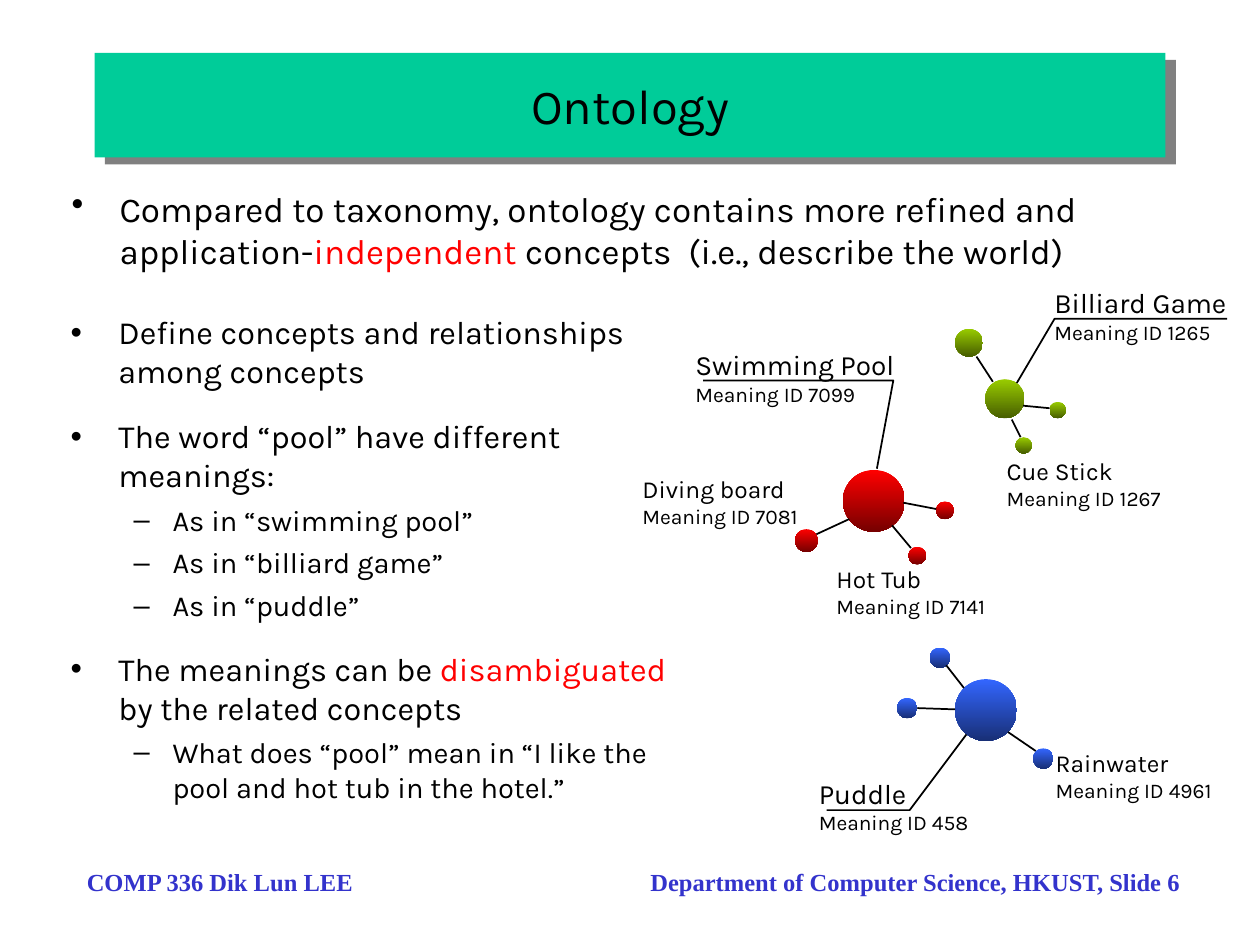
from dataclasses import dataclass
from typing import Any

from lxml.etree import SubElement as Sub
from pptx import Presentation
from pptx.dml.color import RGBColor as Color
from pptx.enum.shapes import MSO_CONNECTOR as Link, MSO_SHAPE as Form
from pptx.enum.text import MSO_ANCHOR as Anchor, MSO_AUTO_SIZE as Fit, PP_ALIGN as Align
from pptx.oxml.ns import qn
from pptx.util import Inches, Pt

Point = tuple[float, float]
SANS, SERIF = "Karla", "Times New Roman"
BLACK, RED = "000000", "FF0000"


@dataclass
class Tag:
    """A concept label with its meaning number."""
    left: float
    top: float
    width: float
    name: str
    code: int
    size: int = 14


@dataclass
class Net:
    """A concept with its related concepts; dots are left, top and size."""
    light: str
    dark: str
    dots: list[tuple[float, float, float]]
    links: list[tuple[Point, Point]]
    lead: list[Point]
    tags: list[Tag]


NETS = [
    Net("3366FF", "182F76",
        [(7.58, 5.39, 0.49), (8.2, 5.94, 0.16), (7.38, 5.14, 0.16), (7.12, 5.54, 0.16)],
        [((8, 5.81), (8.22, 5.96)), ((7.58, 5.63), (7.28, 5.62)), ((7.65, 5.46), (7.51, 5.28))],
        [(6.56, 6.43), (7.22, 6.43), (7.67, 5.83)],
        [Tag(6.4, 6.11, 1.44, "Puddle", 458, 16), Tag(8.28, 5.89, 1.53, "Rainwater", 4961)]),
    Net("FF0000", "760000",
        [(6.69, 3.73, 0.49), (7.21, 4.34, 0.14), (7.43, 3.98, 0.14), (6.31, 4.2, 0.18)],
        [((6.48, 4.24), (6.74, 4.12)), ((7.23, 4.35), (7.08, 4.17)), ((7.43, 4.04), (7.17, 3.99))],
        [(5.58, 3.02), (7.09, 3.02), (6.96, 3.72)],
        [Tag(5.42, 2.71, 1.81, "Swimming Pool", 7099, 16),
         Tag(5, 3.71, 1.53, "Diving board", 7081), Tag(6.54, 4.43, 1.53, "Hot Tub", 7141)]),
    Net("99CC00", "475E00",
        [(7.82, 3.01, 0.31), (8.33, 3.19, 0.13), (8.06, 3.47, 0.13), (7.58, 2.61, 0.22)],
        [((7.75, 2.83), (7.88, 3.03)), ((8.1, 3.47), (8.03, 3.33)), ((8.33, 3.24), (8.12, 3.22))],
        [(9.74, 2.53), (8.37, 2.53), (8.07, 3.04)],
        [Tag(7.89, 3.57, 1.53, "Cue Stick", 1267), Tag(8.27, 2.22, 1.6, "Billiard Game", 1265, 16)]),
]

POINTS = [
    (0, "Define concepts and relationships among concepts"),
    (0, "The word “pool” have different meanings:"),
    (1, "As in “swimming pool”"),
    (1, "As in “billiard game”"),
    (1, "As in “puddle”"),
    (0, "The meanings can be *disambiguated* by the related concepts"),
    (1, "What does “pool” mean in “I like the pool and hot tub in the hotel.”"),
]
INTRO = ("Compared to taxonomy, ontology contains more refined and "
         "application-*independent* concepts  (i.e., describe the world)")


def hue(code: str) -> Color:
    """Turn a hex string into a colour."""
    return Color.from_string(code)


def put(item: Any, **vals: Any) -> None:
    """Set each given value on the item."""
    for key, val in vals.items():
        setattr(item, key, val)


def place(item: Any, left: float, top: float, width: float, height: float) -> None:
    """Move and size a shape in inches."""
    put(item, left=Inches(left), top=Inches(top), width=Inches(width), height=Inches(height))


def write(para: Any, text: str, size: float, face: str = SANS,
          tint: str = BLACK, bold: bool = False) -> None:
    """Add text to a paragraph, with starred words in red."""
    for turn, part in enumerate(text.split("*")):
        run = para.add_run()
        run.text = part
        put(run.font, size=Pt(size), name=face, bold=bold)
        run.font.color.rgb = hue(RED if turn % 2 else tint)


def list_item(para: Any, text: str, size: float, level: int = 0) -> None:
    """Write a list entry with its bullet and indent."""
    put(para, level=level, space_before=Pt(4.5 if level else 15))
    props = para._p.get_or_add_pPr()
    hang, left = (0.31, 0.81) if level else (0.38, 0.38)
    props.set("marL", str(Inches(left)))
    props.set("indent", str(-Inches(hang)))
    Sub(props, qn("a:buChar"), char="–" if level else "•")
    write(para, text, size)


def add_box(shapes: Any, left: float, top: float, width: float, height: float,
            wrap: bool = True) -> Any:
    """Add a text box and give back its frame."""
    frame = shapes.add_textbox(*map(Inches, (left, top, width, height))).text_frame
    put(frame, word_wrap=wrap, auto_size=Fit.NONE)
    return frame


def add_dot(shapes: Any, left: float, top: float, size: float, net: Net) -> None:
    """Draw a shaded round node."""
    dot = shapes.add_shape(Form.OVAL, *map(Inches, (left, top, size, size)))
    dot.shadow.inherit = False
    dot.line.fill.background()
    dot.fill.gradient()
    dot.fill.gradient_angle = 270
    for stop, code in zip(dot.fill.gradient_stops, (net.light, net.dark)):
        stop.color.rgb = hue(code)


def ink(line: Any) -> None:
    """Make a line thin and black."""
    line.width = Pt(1)
    line.color.rgb = hue(BLACK)


def add_link(shapes: Any, start: Point, end: Point) -> None:
    """Join two nodes with a line."""
    link = shapes.add_connector(Link.STRAIGHT, *map(Inches, start + end))
    ink(link.line)
    Sub(link._element.spPr, qn("a:effectLst"))


def add_lead(shapes: Any, points: list[Point]) -> None:
    """Draw the bent line from a label to its node."""
    first, *rest = [tuple(map(Inches, point)) for point in points]
    path = shapes.build_freeform(*first)
    path.add_line_segments(rest, close=False)
    lead = path.convert_to_shape()
    lead.shadow.inherit = False
    lead.fill.background()
    ink(lead.line)


def add_tag(shapes: Any, tag: Tag) -> None:
    """Write a label of two lines."""
    frame = add_box(shapes, tag.left, tag.top, tag.width, 0.55, wrap=False)
    write(frame.paragraphs[0], tag.name, tag.size)
    write(frame.add_paragraph(), f"Meaning ID {tag.code}", 12)


def add_net(shapes: Any, net: Net) -> None:
    """Draw one group of concepts."""
    group = shapes.add_group_shape().shapes
    for dot in net.dots:
        add_dot(group, *dot, net)
    for start, end in net.links:
        add_link(group, start, end)
    for tag in net.tags:
        add_tag(group, tag)
    add_lead(group, net.lead)


def add_title(title: Any) -> None:
    """Fill the title bar and give it a hard shadow."""
    place(title, 0.75, 0.42, 8.5, 0.83)
    title.fill.solid()
    title.fill.fore_color.rgb = hue("00CC99")
    cast = Sub(Sub(title._element.spPr, qn("a:effectLst")), qn("a:outerShdw"),
               dist=str(Inches(0.1)), dir=str(34 * 60000), algn="ctr", rotWithShape="0")
    Sub(cast, qn("a:srgbClr"), val="808080")
    put(title.text_frame, vertical_anchor=Anchor.MIDDLE, auto_size=Fit.NONE)
    para = title.text_frame.paragraphs[0]
    para.alignment = Align.CENTER
    write(para, "Ontology", 28)


def add_body(body: Any) -> None:
    """Fill the list of points."""
    place(body, 0.46, 2.43, 5.16, 4.42)
    frame = body.text_frame
    frame.auto_size = Fit.NONE
    for turn, (level, text) in enumerate(POINTS):
        para = frame.add_paragraph() if turn else frame.paragraphs[0]
        list_item(para, text, 16.6 if level else 18.5, level)


def add_foot(shapes: Any) -> None:
    """Write the footer with its right part at a tab stop."""
    para = add_box(shapes, 0.59, 6.83, 8.99, 0.5).paragraphs[0]
    tabs = Sub(para._p.get_or_add_pPr(), qn("a:tabLst"))
    Sub(tabs, qn("a:tab"), pos=str(Inches(8.68)), algn="r")
    write(para, "COMP 336 Dik Lun LEE\tDepartment of Computer Science, HKUST, Slide 6",
          14, SERIF, "3333CC", True)


def main() -> None:
    """Build the slide and save it."""
    deck = Presentation()
    put(deck, slide_width=Inches(10), slide_height=Inches(7.5))
    slide = deck.slides.add_slide(deck.slide_layouts[1])
    shapes = slide.shapes
    add_title(shapes.title)
    add_body(slide.placeholders[1])
    add_foot(shapes)
    for net in NETS:
        add_net(shapes, net)
    list_item(add_box(shapes, 0.47, 1.44, 8.88, 0.87).paragraphs[0], INTRO, 20)
    deck.save("out.pptx")


if __name__ == "__main__":
    main()
